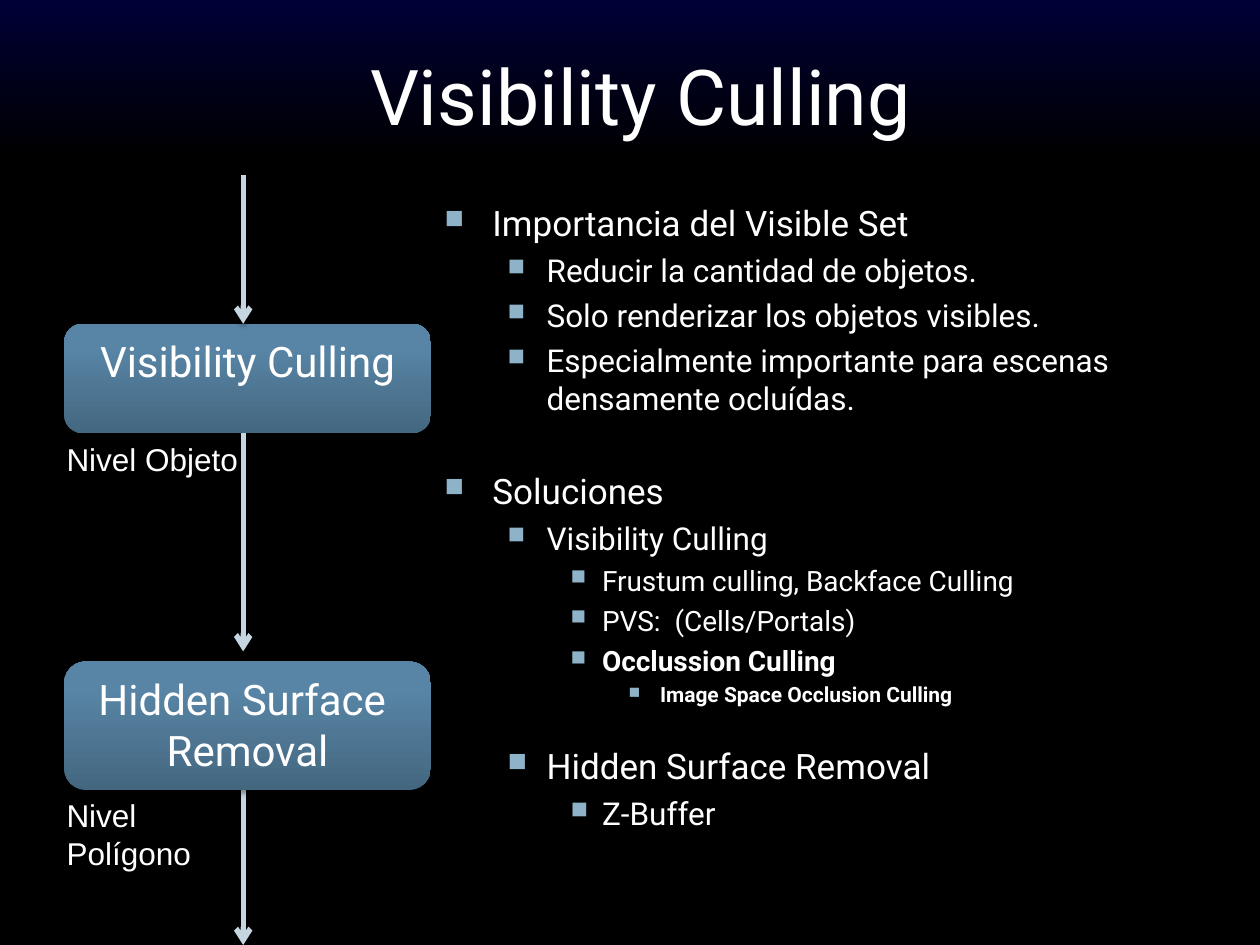
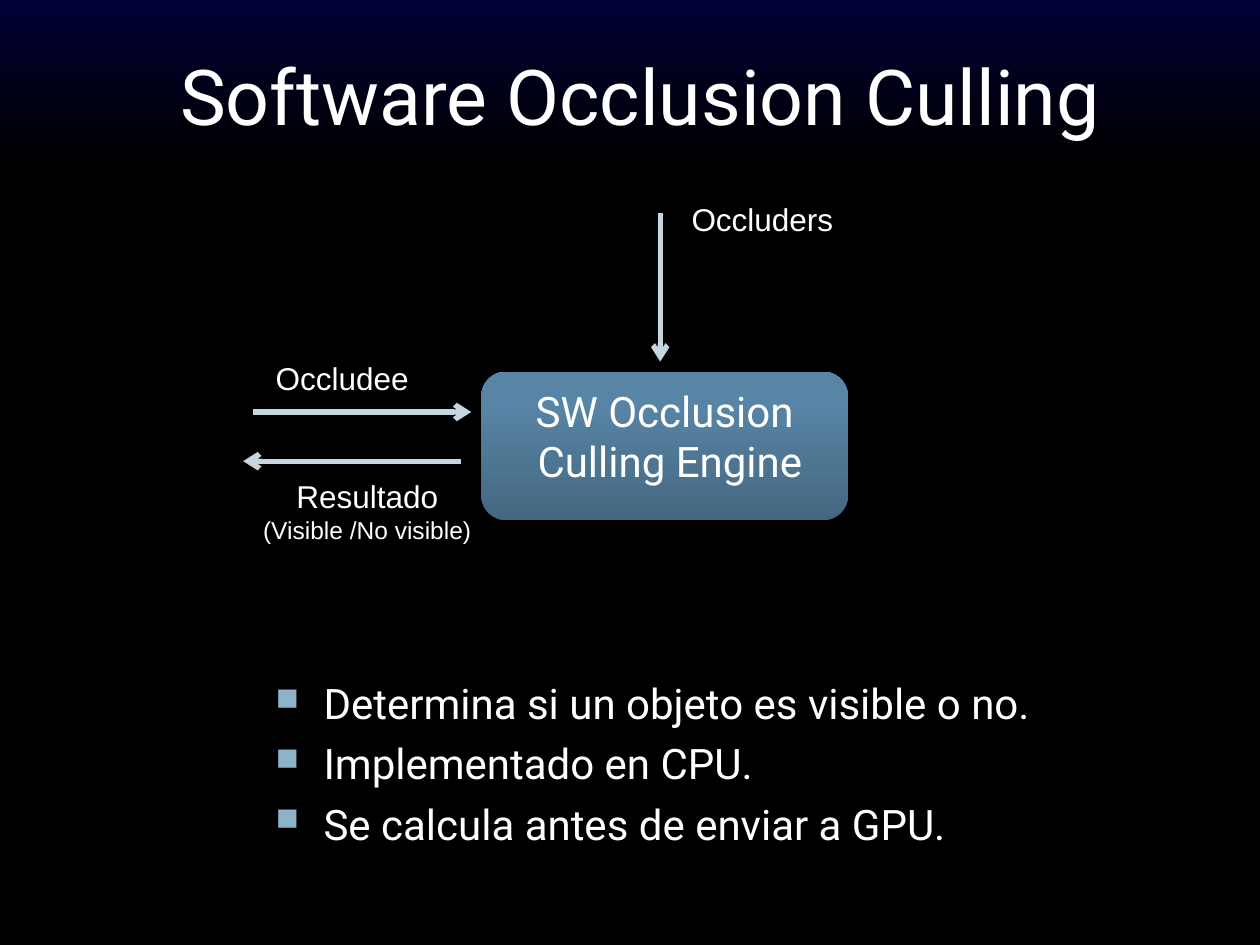
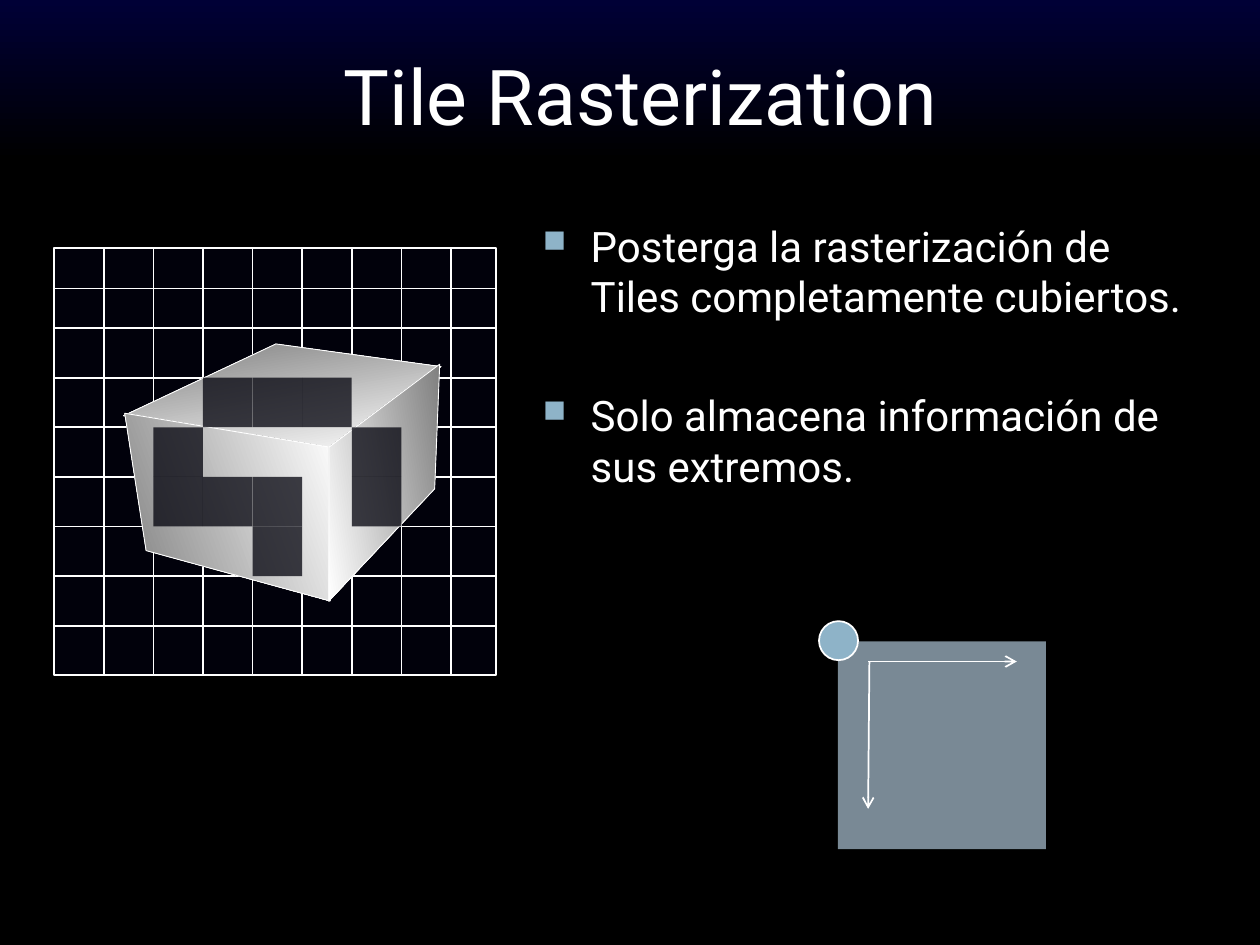
from dataclasses import dataclass

from lxml import etree
from pptx import Presentation
from pptx.dml.color import RGBColor
from pptx.enum.shapes import MSO_CONNECTOR, MSO_SHAPE
from pptx.enum.text import MSO_ANCHOR, MSO_AUTO_SIZE, PP_ALIGN
from pptx.oxml.ns import qn
from pptx.util import Inches, Pt

CENTER, LEFT = PP_ALIGN.CENTER, PP_ALIGN.LEFT
TOP, MIDDLE = MSO_ANCHOR.TOP, MSO_ANCHOR.MIDDLE
FIT_SHAPE = MSO_AUTO_SIZE.SHAPE_TO_FIT_TEXT
STRAIGHT = MSO_CONNECTOR.STRAIGHT
RECTANGLE, ROUNDED, OVAL = MSO_SHAPE.RECTANGLE, MSO_SHAPE.ROUNDED_RECTANGLE, MSO_SHAPE.OVAL


@dataclass(frozen=True)
class Theme:
    """Colours, fonts and type sizes shared by all slides."""
    white: str = "FFFFFF"
    arrow: str = "C6D6E0"
    accent: str = "8EB3C8"
    tile: str = "A2B8C7"
    night: str = "01010B"
    shadow: str = "000000"
    backdrop: tuple = ((0, "000036"), (17, "000000"), (100, "000000"))
    button: tuple = ((0, "446780"), (80, "5885A6"), (100, "5786A8"))
    metal: tuple = ((0, "808080"), (100, "FFFFFF"))
    font: str = "Roboto"
    label_font: str = "Arial"
    title_size: int = 44
    large: int = 24
    medium: int = 20
    label: int = 18
    small: int = 16
    note: int = 14
    tiny: int = 12


THEME = Theme()
# Left margin and hanging indent of each bullet level, in inches
BULLET_INDENTS = ((0.38, 0.38), (0.81, 0.31), (1.25, 0.25), (1.71, 0.25))
LINE_HEIGHT = 1.17   # of the type size
SPACE_BEFORE = 0.2   # of the line height
CELL = 1 / 2.54      # raster cells are one centimetre wide
GRID_LEFT, GRID_TOP, GRID_RIGHT, GRID_BOTTOM = 0.43, 1.97, 3.94, 5.36


@dataclass(frozen=True)
class Bullet:
    """A bullet; gap is the type size of the blank line left above it."""
    text: str
    level: int = 0
    size: int = THEME.large
    bold: bool = False
    gap: int = 0


def add_child(parent, tag, **attributes):
    """Append an XML child with the given attributes."""
    values = {name: str(value) for name, value in attributes.items()}
    return etree.SubElement(parent, qn(tag), values)


def fill_gradient(fill, element, stops, angle):
    """Give a fill its gradient stops and clockwise angle."""
    fill.gradient()
    gradient = element.xpath(".//a:gradFill")[0]
    stop_list = gradient.find(qn("a:gsLst"))
    for stop in list(stop_list):
        stop_list.remove(stop)
    for position, color in stops:
        stop = add_child(stop_list, "a:gs", pos=position * 1000)
        add_child(stop, "a:srgbClr", val=color)
    gradient.find(qn("a:lin")).set("ang", str(angle * 60000))


def fill_solid(shape, color, opacity=100):
    """Fill a shape with one colour, transparent if opacity is below 100."""
    shape.fill.solid()
    shape.fill.fore_color.rgb = RGBColor.from_string(color)
    if opacity < 100:
        color_element = shape._element.spPr.xpath("./a:solidFill/a:srgbClr")[0]
        add_child(color_element, "a:alpha", val=opacity * 1000)


def set_line(shape, color=None, width=1):
    """Set the outline of a shape or connector, or remove it."""
    if color is None:
        shape.line.fill.background()
    else:
        shape.line.color.rgb = RGBColor.from_string(color)
        shape.line.width = Pt(width)


def cast_shadow(effects):
    """Add the soft shadow that falls straight down."""
    shadow = add_child(effects, "a:outerShdw", blurRad=Pt(3.1), dist=Pt(1.8),
                       dir=90 * 60000, rotWithShape=0)
    color = add_child(shadow, "a:srgbClr", val=THEME.shadow)
    add_child(color, "a:alpha", val=35000)


def add_text(frame, text, size=THEME.label, font=THEME.font, bold=False, align=LEFT):
    """Write one formatted paragraph into a text frame and return it."""
    paragraph = frame.paragraphs[0]
    if paragraph.runs:
        paragraph = frame.add_paragraph()
    paragraph.alignment = align
    run = paragraph.add_run()
    run.text = text
    run.font.name = font
    run.font.size = Pt(size)
    run.font.bold = bold
    run.font.color.rgb = RGBColor.from_string(THEME.white)
    return paragraph


def add_box(shapes, left, top, width, height, anchor=TOP):
    """Add a wrapping text box and return its text frame."""
    box = shapes.add_textbox(Inches(left), Inches(top), Inches(width), Inches(height))
    frame = box.text_frame
    frame.word_wrap = True
    frame.vertical_anchor = anchor
    return frame


def add_label(shapes, text, left, top, width=1.57, height=0.4):
    """Add a diagram label and return its text frame."""
    frame = add_box(shapes, left, top, width, height)
    frame.auto_size = FIT_SHAPE
    add_text(frame, text, font=THEME.label_font)
    return frame


def add_bullets(shapes, bullets, left, top, width, height):
    """Add a text box with a bulleted list."""
    frame = add_box(shapes, left, top, width, height)
    for bullet in bullets:
        paragraph = add_text(frame, bullet.text, size=bullet.size, bold=bullet.bold)
        paragraph.level = bullet.level
        blank_line = bullet.gap * LINE_HEIGHT * (1 + SPACE_BEFORE)
        paragraph.space_before = Pt(bullet.size * LINE_HEIGHT * SPACE_BEFORE + blank_line)
        margin, hanging = BULLET_INDENTS[bullet.level]
        properties = paragraph._p.get_or_add_pPr()
        properties.set("marL", str(Inches(margin)))
        properties.set("indent", str(-Inches(hanging)))
        add_child(add_child(properties, "a:buClr"), "a:srgbClr", val=THEME.accent)
        add_child(properties, "a:buSzPct", val=75000)
        add_child(properties, "a:buChar", char="■")


def add_shape(shapes, kind, left, top, width, height):
    """Add a preset shape without shadow or outline."""
    shape = shapes.add_shape(kind, Inches(left), Inches(top), Inches(width), Inches(height))
    shape.shadow.inherit = False
    set_line(shape)
    return shape


def add_button(shapes, lines, left, top, height):
    """Add a rounded stage of the pipeline with its caption."""
    button = add_shape(shapes, ROUNDED, left, top, 2.91, height)
    fill_gradient(button.fill, button._element.spPr, THEME.button, 270)
    cast_shadow(button._element.spPr.find(qn("a:effectLst")))
    frame = button.text_frame
    frame.word_wrap = False
    frame.vertical_anchor = TOP
    for line in lines:
        add_text(frame, line, size=THEME.large, align=CENTER)


def add_line(shapes, start, end, color=THEME.white, width=1, arrow=False, shadow=False):
    """Add a straight line, with an arrowhead or a shadow if asked."""
    connector = shapes.add_connector(STRAIGHT, *map(Inches, start + end))
    set_line(connector, color, width)
    properties = connector._element.spPr
    if arrow:
        add_child(properties.find(qn("a:ln")), "a:tailEnd", type="arrow")
    effects = add_child(properties, "a:effectLst")
    if shadow:
        cast_shadow(effects)


def add_flow(shapes, start, end):
    """Add a thick arrow of the pipeline."""
    add_line(shapes, start, end, color=THEME.arrow, width=3, arrow=True, shadow=True)


def add_face(shapes, points, angle):
    """Add one shaded face of the solid."""
    corners = [(Inches(x), Inches(y)) for x, y in points]
    builder = shapes.build_freeform(*corners[0])
    builder.add_line_segments(corners[1:], close=True)
    face = builder.convert_to_shape()
    face.shadow.inherit = False
    fill_gradient(face.fill, face._element.spPr, THEME.metal, angle)
    set_line(face, THEME.white, 0.5)


def add_slide(presentation, title):
    """Add a blank slide with its title and return its shapes."""
    slide = presentation.slides.add_slide(presentation.slide_layouts[6])
    frame = add_box(slide.shapes, 0.75, 0.17, 8.67, 1.17, anchor=MIDDLE)
    add_text(frame, title, size=THEME.title_size, align=CENTER)
    return slide.shapes


def build_visibility(presentation):
    """Pipeline of culling stages beside their explanation."""
    shapes = add_slide(presentation, "Visibility Culling")
    add_bullets(shapes, (
        Bullet("Importancia del Visible Set", 0, THEME.medium),
        Bullet("Reducir la cantidad de objetos.", 1, THEME.label),
        Bullet("Solo renderizar los objetos visibles.", 1, THEME.label),
        Bullet("Especialmente importante para escenas densamente ocluídas.", 1, THEME.label),
        Bullet("Soluciones", 0, THEME.medium, gap=THEME.label),
        Bullet("Visibility Culling", 1, THEME.label),
        Bullet("Frustum culling, Backface Culling", 2, THEME.small),
        Bullet("PVS:  (Cells/Portals)", 2, THEME.small),
        Bullet("Occlussion Culling", 2, THEME.small, bold=True),
        Bullet("Image Space Occlusion Culling", 3, THEME.tiny, bold=True),
        Bullet("Hidden Surface Removal", 1, THEME.medium, gap=THEME.tiny),
        Bullet("Z-Buffer", 2, THEME.label),
    ), 3.43, 1.55, 5.99, 5)

    flow_x = 1.93
    polygon_level = shapes.add_group_shape().shapes
    add_flow(polygon_level, (flow_x, 6.11), (flow_x, 7.5))
    add_button(polygon_level, ("Hidden Surface ", "Removal"), 0.51, 5.25, 1.02)
    add_label(polygon_level, "Nivel Polígono", 0.43, 6.27, height=0.71)

    object_level = shapes.add_group_shape().shapes
    add_button(object_level, ("Visibility Culling",), 0.51, 2.57, 0.87)
    add_flow(object_level, (flow_x, 3.44), (flow_x, 5.17))
    add_flow(object_level, (flow_x, 1.39), (flow_x, 2.57))
    add_label(object_level, "Nivel Objeto", 0.43, 3.44)


def build_occlusion(presentation):
    """Inputs and result of the software engine."""
    shapes = add_slide(presentation, "Software Occlusion Culling")
    add_bullets(shapes, (
        Bullet("Determina si un objeto es visible o no."),
        Bullet("Implementado en CPU."),
        Bullet("Se calcula antes de enviar a GPU."),
    ), 2.09, 5.33, 6.54, 2.17)
    add_button(shapes, ("SW Occlusion", " Culling Engine"), 3.82, 2.95, 1.18)
    add_flow(shapes, (5.24, 1.69), (5.24, 2.87))
    add_label(shapes, "Occluders", 5.39, 1.54)
    add_flow(shapes, (2.01, 3.27), (3.74, 3.27))
    add_label(shapes, "Occludee", 2.09, 2.8)
    add_flow(shapes, (3.66, 3.66), (1.93, 3.66))
    result = add_label(shapes, "Resultado", 1.85, 3.74, width=2.13, height=0.64)
    result.paragraphs[0].alignment = CENTER
    add_text(result, "(Visible /No visible)", size=THEME.note,
             font=THEME.label_font, align=CENTER)


def draw_grid(shapes):
    """Draw the raster grid; its two top rows are lower than the others."""
    panel = add_shape(shapes, RECTANGLE, GRID_LEFT, GRID_TOP,
                      GRID_RIGHT - GRID_LEFT, GRID_BOTTOM - GRID_TOP)
    fill_solid(panel, THEME.night)
    set_line(panel, THEME.white)
    for column in range(1, 9):
        x = GRID_LEFT + column * CELL
        add_line(shapes, (x, GRID_TOP), (x, GRID_BOTTOM))
    for y in [GRID_BOTTOM - row * CELL for row in range(1, 8)] + [2.29]:
        add_line(shapes, (GRID_LEFT, y), (GRID_RIGHT, y))


def draw_solid(shapes):
    """Draw the three visible faces of the solid."""
    add_face(shapes, ((0.98, 3.3), (2.19, 2.73), (3.5, 2.91), (2.61, 3.57)), 80)
    add_face(shapes, ((1.16, 4.37), (0.99, 3.28), (2.62, 3.55), (2.62, 4.77)), 340)
    add_face(shapes, ((2.61, 4.77), (2.61, 3.55), (3.49, 2.89), (3.45, 3.88)), 170)


def draw_covered_tiles(shapes):
    """Darken the fully covered tiles, by row above the grid's bottom."""
    covered = {6: (3, 4, 5), 5: (2, 6), 4: (2, 3, 4, 6), 3: (4,)}
    for row, columns in covered.items():
        for column in columns:
            tile = add_shape(shapes, RECTANGLE, GRID_LEFT + column * CELL,
                             GRID_BOTTOM - row * CELL, CELL, CELL)
            fill_solid(tile, THEME.night, opacity=75)


def build_tiles(presentation):
    """Rasterized solid and the data kept for one tile."""
    shapes = add_slide(presentation, "Tile Rasterization")
    add_bullets(shapes, (
        Bullet("Posterga la rasterización de Tiles completamente cubiertos."),
        Bullet("Solo almacena información de sus extremos.", gap=THEME.large),
    ), 4.21, 1.7, 5.28, 5)
    for draw in (draw_grid, draw_solid, draw_covered_tiles):
        draw(shapes.add_group_shape().shapes)

    tile = add_shape(shapes, RECTANGLE, 6.65, 5.09, 1.65, 1.65)
    fill_solid(tile, THEME.tile, opacity=75)
    corner = add_shape(shapes, OVAL, 6.5, 4.93, 0.31, 0.31)
    fill_solid(corner, THEME.accent)
    set_line(corner, THEME.white)
    add_line(shapes, (6.89, 5.25), (8.07, 5.25), arrow=True)
    add_line(shapes, (6.9, 5.25), (6.89, 6.42), arrow=True)


def main():
    """Build the presentation and save it."""
    presentation = Presentation()
    presentation.slide_width, presentation.slide_height = Inches(10), Inches(7.5)
    master = presentation.slide_master
    fill_gradient(master.background.fill, master._element, THEME.backdrop, 90)
    build_visibility(presentation)
    build_occlusion(presentation)
    build_tiles(presentation)
    presentation.save("out.pptx")


main()
